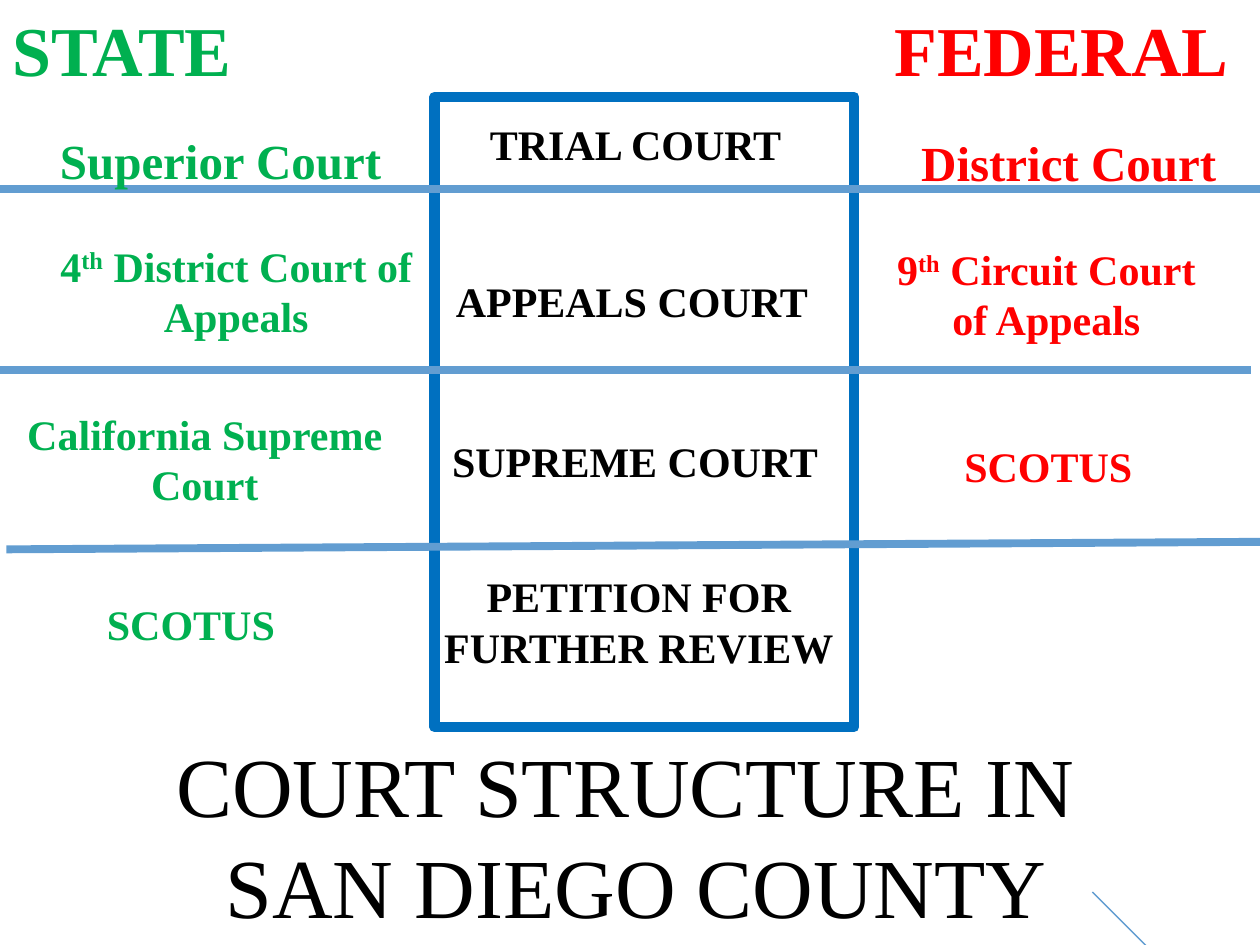
from dataclasses import dataclass

from lxml.etree import SubElement
from pptx import Presentation
from pptx.dml.color import RGBColor
from pptx.enum.shapes import MSO_CONNECTOR, MSO_SHAPE
from pptx.enum.text import MSO_ANCHOR, PP_ALIGN
from pptx.oxml.ns import qn
from pptx.util import Inches, Pt


@dataclass(frozen=True)
class Theme:
    font: str = "Times New Roman"
    state: str = "00B050"
    federal: str = "FF0000"
    stage: str = "000000"
    frame: str = "0070C0"
    rule: str = "629DD1"
    title_size: int = 48
    heading_size: int = 40
    trial_size: int = 28
    court_size: int = 24


@dataclass(frozen=True)
class Box:
    """Position and size in grid cells."""
    left: float
    top: float
    width: float
    height: float

    def inner(self, left, top, width, height):
        return Box(self.left + left, self.top + top, width, height)


THEME = Theme()
COLUMNS, ROWS = 100, 75
CELL = Inches(10) / COLUMNS


def cells(*counts):
    return [round(count * CELL) for count in counts]


def edges(box):
    return cells(box.left, box.top, box.width, box.height)


def add_span(para, text, size, color, bold=True, raised=False):
    span = para.add_run()
    span.text = text
    span.font.name = THEME.font
    span.font.size = Pt(size)
    span.font.bold = bold
    span.font.color.rgb = RGBColor.from_string(color)
    if raised:
        span.font._element.set("baseline", "30000")


def add_label(page, box, spans, size, color, align=PP_ALIGN.CENTER):
    """Spans at odd positions are superscripts."""
    label = page.shapes.add_textbox(*edges(box))
    label.text_frame.word_wrap = True
    para = label.text_frame.paragraphs[0]
    para.alignment = align
    for index, text in enumerate(spans):
        add_span(para, text, size, color, raised=index % 2 == 1)
    return para


def add_line(page, start, end, width, arrow=False):
    line = page.shapes.add_connector(MSO_CONNECTOR.STRAIGHT, *cells(*start, *end))
    line.line.color.rgb = RGBColor.from_string(THEME.rule)
    line.line.width = Pt(width)
    if arrow:
        SubElement(line.line._get_or_add_ln(), qn("a:tailEnd"), type="triangle")
    SubElement(line._element.spPr, qn("a:effectLst"))


def add_headings(page, box):
    para = add_label(page, box, [], THEME.heading_size, THEME.state, PP_ALIGN.LEFT)
    tabs = SubElement(para._p.get_or_add_pPr(), qn("a:tabLst"))
    SubElement(tabs, qn("a:tab"), pos=str(Inches(7)), algn="l")
    add_span(para, "STATE\t", THEME.heading_size, THEME.state)
    add_span(para, "FEDERAL", THEME.heading_size, THEME.federal)


def add_frame(page, box):
    frame = page.shapes.add_shape(MSO_SHAPE.RECTANGLE, *edges(box))
    frame.shadow.inherit = False
    frame.fill.background()
    frame.line.color.rgb = RGBColor.from_string(THEME.frame)
    frame.line.width = Pt(6)


def add_dividers(page, box):
    # Start and end of each rule, relative to the chart area
    for start_x, start_y, end_x, end_y in [
            (0, 7.3, 101.7, 7.3), (-0.7, 21.7, 99.3, 21.7), (0.5, 35.9, 100.2, 35.3)]:
        add_line(page, (box.left + start_x, box.top + start_y),
                 (box.left + end_x, box.top + end_y), 4.5)


def add_courts(page, box, color, courts):
    for spans, size, align, position in courts:
        add_label(page, box.inner(*position), spans, size, color, align)


def add_title(page, box):
    title = page.shapes.title
    title.left, title.top, title.width, title.height = edges(box)
    frame = title.text_frame
    frame.word_wrap = True
    frame.vertical_anchor = MSO_ANCHOR.TOP
    for index, text in enumerate(["COURT STRUCTURE IN ", "SAN DIEGO COUNTY"]):
        para = frame.add_paragraph() if index else frame.paragraphs[0]
        para.alignment = PP_ALIGN.CENTER
        add_span(para, text, THEME.title_size, THEME.stage, bold=False)


def main():
    deck = Presentation()
    deck.slide_width, deck.slide_height = cells(COLUMNS, ROWS)
    page = deck.slides.add_slide(deck.slide_layouts[5])
    chart = Box(0, 7.7, COLUMNS, 50)
    stage = chart.inner(34.5, 0, 33.3, 50)
    center, small, large = PP_ALIGN.CENTER, THEME.court_size, THEME.trial_size

    add_headings(page, Box(0, 0, COLUMNS, 7.7))
    add_frame(page, stage)
    add_dividers(page, chart)

    # Court levels, with positions relative to each column
    add_courts(page, stage, THEME.stage, [
        (["TRIAL COURT"], small, center, (-0.7, 1.2, 33.3, 5)),
        (["APPEALS COURT"], small, center, (-1, 13.7, 33.3, 5)),
        (["SUPREME COURT"], small, center, (-0.6, 26.4, 33, 5)),
        (["PETITION FOR FURTHER REVIEW"], small, center, (-0.7, 37.1, 33.8, 9)),
    ])
    add_courts(page, chart.inner(0, 0, 34.5, 50), THEME.state, [
        (["Superior Court"], large, center, (0, 2.2, 35, 5.7)),
        (["4", "th", " District Court of Appeals"], small, center, (2.5, 10.9, 32.5, 9)),
        (["California Supreme Court"], small, center, (1, 24.2, 30.5, 9)),
        (["SCOTUS"], small, center, (-1.6, 39.3, 33.5, 5)),
    ])
    add_courts(page, chart.inner(67.8, 0, 32.2, 50), THEME.federal, [
        (["District Court"], large, PP_ALIGN.RIGHT, (-2, 2.3, 31.7, 5.7)),
        (["9", "th", " Circuit Court of Appeals"], small, center, (1.5, 11.1, 27.5, 9)),
        (["SCOTUS"], small, center, (-0.2, 26.8, 31.2, 5)),
    ])

    # Arrow leading on from the title
    add_line(page, (86.7, 70.8), (96.7, 80.8), 0.79, arrow=True)
    add_title(page, Box(1, 57.7, 99, 17))
    deck.save("out.pptx")


if __name__ == "__main__":
    main()
